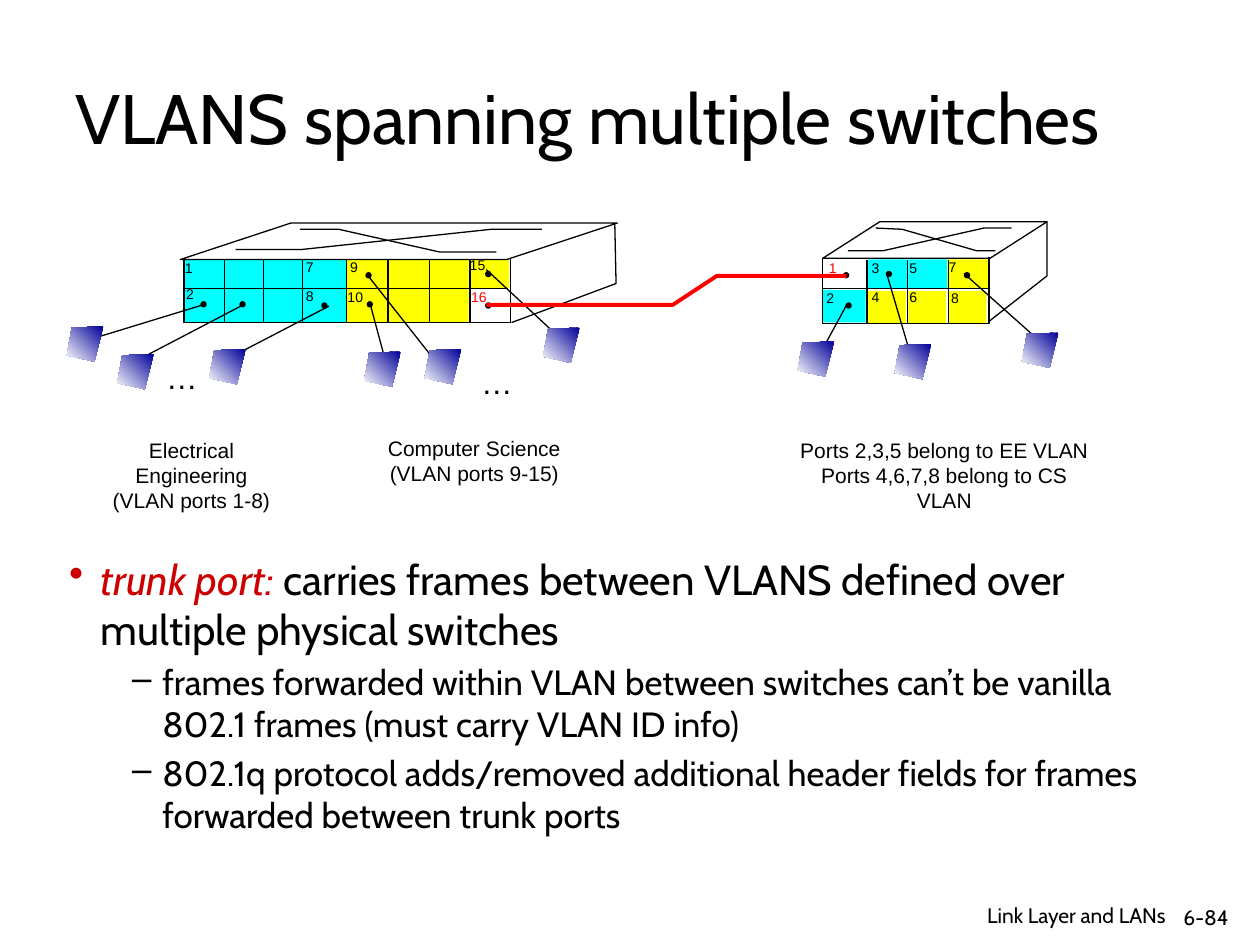
from lxml import etree
from pptx import Presentation
from pptx.dml.color import RGBColor
from pptx.enum.shapes import MSO_CONNECTOR as Connector, MSO_SHAPE as Shape
from pptx.enum.text import MSO_ANCHOR as Anchor, PP_ALIGN as Align
from pptx.oxml.ns import qn
from pptx.util import Inches, Pt

color = RGBColor.from_string
BLACK, WHITE, RED = "000000", "FFFFFF", "FF0000"
CYAN, YELLOW, CRIMSON, NAVY = "00FFFF", "FFFF00", "CC0000", "000099"

presentation = Presentation()
presentation.slide_width, presentation.slide_height = Inches(10), Inches(7.5)
slide = presentation.slides.add_slide(presentation.slide_layouts[6])
shapes = slide.shapes
# The slide is a grid of 10 columns and 7.5 rows
unit = presentation.slide_width // 10


def add_text(box, paragraphs, size, font="Arial", align=Align.LEFT,
             wrap=False, anchor=Anchor.TOP, ink=BLACK):
    frame = shapes.add_textbox(*[int(v * unit) for v in box]).text_frame
    frame.word_wrap, frame.vertical_anchor = wrap, anchor
    for index, text in enumerate(paragraphs):
        paragraph = frame.paragraphs[0] if index == 0 else frame.add_paragraph()
        paragraph.alignment = align
        run = paragraph.add_run()
        run.text = text
        run.font.name, run.font.size = font, Pt(size)
        run.font.color.rgb = color(ink)


def add_path(points, line=BLACK, width=0.75, close=False):
    corners = [(int(x * unit), int(y * unit)) for x, y in points]
    builder = shapes.build_freeform(*corners[0])
    builder.add_line_segments(corners[1:], close=close)
    shape = builder.convert_to_shape()
    shape.shadow.inherit = False
    shape.fill.background()
    if line:
        shape.line.color.rgb = color(line)
        shape.line.width = Pt(width)
    else:
        shape.line.fill.background()
    return shape


# Title
add_text((0.5, 0.3, 9, 1.25), ["VLANS spanning multiple switches"], 40, "Cabin",
         wrap=True, anchor=Anchor.MIDDLE)

# Coloured port blocks, switch outline and switch tops
blocks = [
    (Shape.RECTANGLE, 1.46, 2.06, 0.32, 0.23, CYAN, None),
    (Shape.RECTANGLE, 1.46, 2.29, 0.32, 0.27, CYAN, None),
    (Shape.RECTANGLE, 1.77, 2.06, 0.98, 0.5, CYAN, None),
    (Shape.RECTANGLE, 2.75, 2.06, 0.97, 0.5, YELLOW, None),
    (Shape.RECTANGLE, 3.72, 2.06, 0.32, 0.23, YELLOW, None),
    (Shape.RECTANGLE, 6.53, 2.3, 0.34, 0.26, CYAN, None),
    (Shape.RECTANGLE, 6.89, 2.06, 0.31, 0.23, CYAN, None),
    (Shape.RECTANGLE, 7.21, 2.06, 0.31, 0.23, CYAN, None),
    (Shape.RECTANGLE, 7.52, 2.06, 0.32, 0.23, YELLOW, None),
    (Shape.RECTANGLE, 6.89, 2.31, 0.3, 0.26, YELLOW, None),
    (Shape.RECTANGLE, 7.21, 2.31, 0.3, 0.26, YELLOW, None),
    (Shape.RECTANGLE, 7.53, 2.31, 0.3, 0.26, YELLOW, None),
    (Shape.RECTANGLE, 1.46, 2.05, 2.59, 0.51, None, BLACK),
    (Shape.PARALLELOGRAM, 1.43, 1.77, 3.47, 0.29, WHITE, BLACK),
    (Shape.PARALLELOGRAM, 6.53, 1.76, 1.78, 0.29, WHITE, BLACK),
]
# Black dots on the ports in use
dots = [(1.59, 2.39), (1.9, 2.39), (2.55, 2.4), (2.91, 2.39), (2.9, 2.16),
        (3.85, 2.15), (3.85, 2.4), (6.71, 2.4), (7.65, 2.16), (7.03, 2.15),
        (6.69, 2.16)]
blocks += [(Shape.OVAL, x, y, 0.05, 0.05, BLACK, None) for x, y in dots]
for kind, x, y, width, height, fill, line in blocks:
    shape = shapes.add_shape(kind, *[int(v * unit) for v in (x, y, width, height)])
    shape.shadow.inherit = False
    if kind == Shape.PARALLELOGRAM:
        shape.adjustments[0] = 3.03 if width > 2 else 1.56
    if fill:
        shape.fill.solid()
        shape.fill.fore_color.rgb = color(fill)
    else:
        shape.fill.background()
    if line:
        shape.line.color.rgb = color(line)
        shape.line.width = Pt(0.75)
    else:
        shape.line.fill.background()

# Switch sides, front of the small switch and crossing marks on the tops
for points in [
    [(4.06, 2.56), (4.89, 2.25), (4.88, 1.77)],
    [(1.87, 1.98), (2.4, 1.98), (3.9, 1.82), (4.3, 1.82)],
    [(2.38, 1.82), (2.69, 1.82), (3.49, 2), (3.94, 2)],
    [(8.31, 1.76), (8.31, 2.19), (7.85, 2.55)],
    [(6.73, 1.99), (7.01, 1.99), (7.81, 1.81), (8.03, 1.81)],
    [(6.95, 1.81), (7.16, 1.82), (7.75, 1.99), (7.9, 1.99)],
    [(6.53, 2.05), (6.53, 2.57), (7.85, 2.57), (7.85, 2.04)],
]:
    add_path(points)

# Port dividers, then wires from ports to hosts
dividers = [1.46, 1.78, 2.09, 2.4, 2.75, 3.08, 3.41, 3.73, 6.88, 7.2, 7.53]
wires = [(x, 2.06, x, 2.56) for x in dividers]
wires += [
    (1.46, 2.29, 4.03, 2.29), (6.53, 2.29, 7.86, 2.29),
    (1.61, 2.42, 0.63, 2.72), (1.93, 2.42, 1.05, 2.88), (2.61, 2.43, 1.84, 2.83),
    (2.94, 2.42, 3.05, 2.83), (2.93, 2.2, 3.45, 2.86), (3.86, 2.14, 4.43, 2.67),
    (6.72, 2.42, 6.54, 2.75), (7.04, 2.18, 7.24, 2.86), (7.65, 2.17, 8.21, 2.67),
]
for ends in wires:
    wire = shapes.add_connector(Connector.STRAIGHT, *[int(v * unit) for v in ends])
    wire.line.color.rgb = color(BLACK)
    wire.line.width = Pt(0.75)
    etree.SubElement(wire._element.spPr, qn("a:effectLst"))

# Port numbers
for number, x, y, ink in [
    ("1", 1.37, 2.01, BLACK), ("2", 1.38, 2.22, BLACK), ("7", 2.33, 2, BLACK),
    ("8", 2.33, 2.23, BLACK), ("9", 2.68, 2, BLACK), ("10", 2.66, 2.24, BLACK),
    ("15", 3.63, 1.99, BLACK), ("16", 3.64, 2.24, RED), ("1", 6.48, 2.01, RED),
    ("2", 6.46, 2.25, BLACK), ("3", 6.82, 2.01, BLACK), ("4", 6.82, 2.24, BLACK),
    ("5", 7.12, 2.01, BLACK), ("6", 7.12, 2.24, BLACK), ("7", 7.43, 2, BLACK),
    ("8", 7.45, 2.25, BLACK),
]:
    add_text((x, y, 0.26 if len(number) == 1 else 0.33, 0.23), [number], 8, ink=ink)

# Trunk link between the switches
add_path([(3.86, 2.42), (5.34, 2.42), (5.69, 2.19), (6.72, 2.19)], RED, 2.25)

# Hosts
for x, y in [(0.53, 2.59), (0.93, 2.81), (1.66, 2.77), (2.89, 2.79), (3.37, 2.77),
             (4.31, 2.6), (6.33, 2.71), (8.11, 2.64), (7.1, 2.73)]:
    host = add_path([(x + 0.29, y), (x + 0.04, y + 0.01), (x, y + 0.23),
                     (x + 0.22, y + 0.28)], line=None, close=True)
    host.fill.gradient()
    host.fill.gradient_angle = 225
    for stop, position, ink in zip(host.fill.gradient_stops, (0, 1), (NAVY, WHITE)):
        stop.position = position
        stop.color.rgb = color(ink)

# Ellipses and captions
for x, y in [(1.22, 2.79), (3.72, 2.83)]:
    add_text((x, y, 0.45, 0.4), ["…"], 18)
for x, y, width, wrap, lines in [
    (0.72, 3.42, 1.6, True, ["Electrical Engineering", "(VLAN ports 1-8)"]),
    (2.98, 3.41, 1.57, False, ["Computer Science", "(VLAN ports 9-15)"]),
    (6.18, 3.42, 2.63, False,
     ["Ports 2,3,5 belong to EE VLAN", "Ports 4,6,7,8 belong to CS VLAN"]),
]:
    add_text((x, y, width, 0.5), lines, 12, align=Align.CENTER, wrap=wrap)

# Bulleted explanation
body = shapes.add_textbox(*[int(v * unit) for v in (0.45, 4.34, 9.07, 2.94)]).text_frame
body.word_wrap = True
for index, (level, size, bullet, bullet_ink, margin, hanging, runs) in enumerate([
    (0, 24, "•", CRIMSON, 0.25, 0.25,
     [("trunk port: ", CRIMSON, True),
      ("carries frames between VLANS defined over multiple physical switches",
       BLACK, False)]),
    (1, 20, "–", BLACK, 0.74, 0.24,
     [("frames forwarded within VLAN between switches can’t be vanilla "
       "802.1 frames (must carry VLAN ID info)", BLACK, False)]),
    (1, 20, "–", BLACK, 0.74, 0.24,
     [("802.1q protocol adds/removed additional header fields for frames "
       "forwarded between trunk ports", BLACK, False)]),
]):
    paragraph = body.paragraphs[0] if index == 0 else body.add_paragraph()
    paragraph.level = level
    properties = paragraph._p.get_or_add_pPr()
    properties.set("marL", str(int(margin * unit)))
    properties.set("indent", str(-int(hanging * unit)))
    bullet_color = etree.SubElement(properties, qn("a:buClr"))
    etree.SubElement(bullet_color, qn("a:srgbClr"), val=bullet_ink)
    etree.SubElement(properties, qn("a:buChar"), char=bullet)
    if index:
        paragraph.space_before = Pt(size * 0.2)
    for text, ink, italic in runs:
        run = paragraph.add_run()
        run.text = text
        run.font.name, run.font.size, run.font.italic = "Cabin", Pt(size), italic
        run.font.color.rgb = color(ink)

# Footer and slide number
for box, text in [((6.97, 7.13, 2.38, 0.26), "Link Layer and LANs"),
                  ((9.25, 7.13, 0.6, 0.3), "6-84")]:
    add_text(box, [text], 12, "Cabin", Align.RIGHT, True, Anchor.MIDDLE)

presentation.save("out.pptx")
